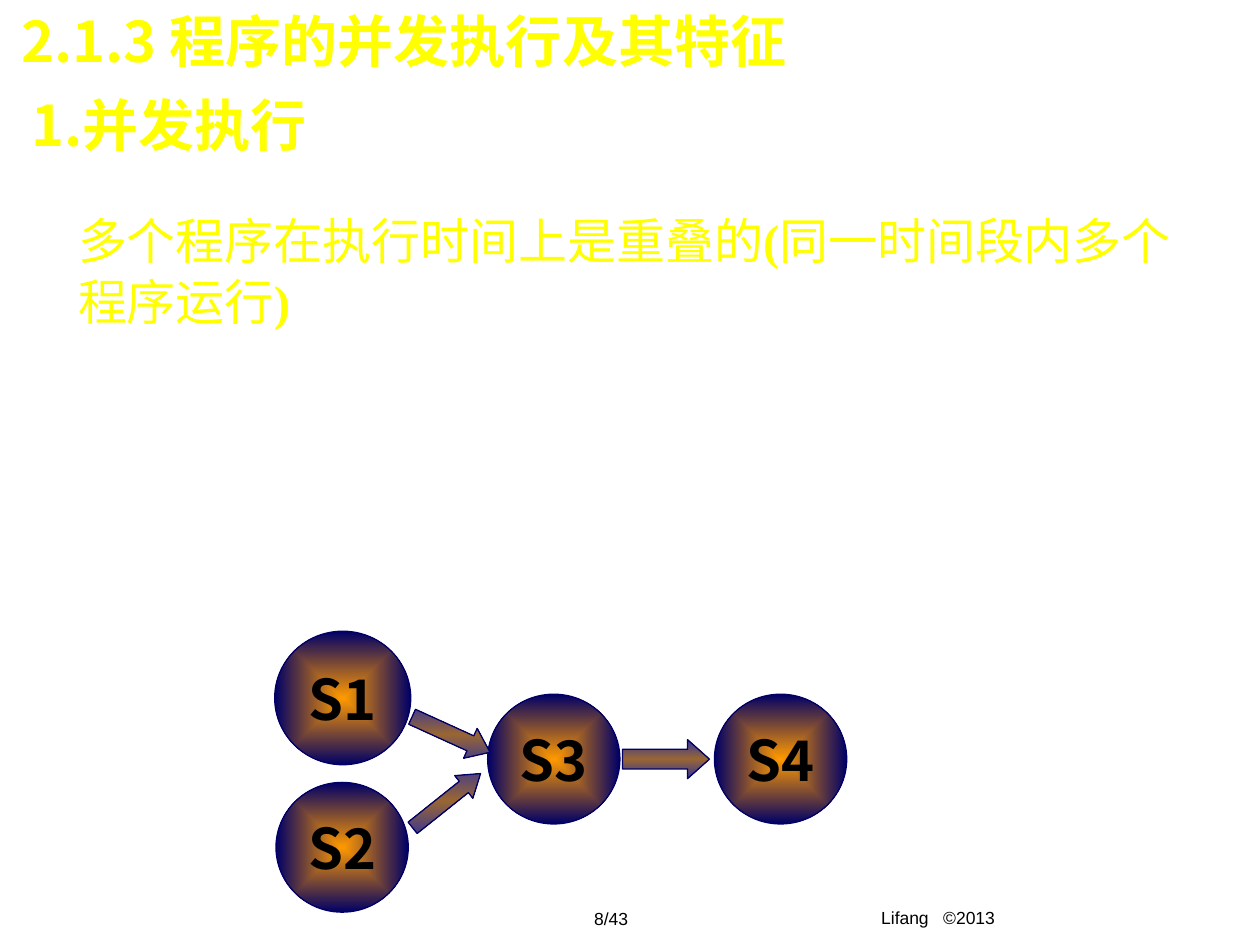
"""Build the slide on concurrent program execution."""
from dataclasses import dataclass
from typing import Any

from pptx import Presentation
from pptx import util as u
from pptx.dml import color as c
from pptx.enum import shapes, text
from pptx.oxml import ns, parse_xml


def rgb(value):
    """Return the colour for a hex string."""
    return c.RGBColor.from_string(value)


@dataclass
class Board:
    """Hold the style and the slide, on a grid of 100 columns by 75 rows."""

    presentation: Any
    slide: Any
    heading_font: str = "Noto Sans CJK SC"
    bracket_font: str = "Times New Roman"
    footer_font: str = "Arial"
    accent: str = "FFFF00"
    ink: str = "000000"
    outline: str = "000066"
    node_stops: tuple = ((0, "FF9900"), (100, "000066"))
    arrow_stops: tuple = ((0, "333399"), (50, "996633"), (100, "333399"))

    def place(self, left, top, width, height):
        """Turn columns and rows into slide lengths."""
        column = self.presentation.slide_width / 100
        row = self.presentation.slide_height / 75
        return [round(n) for n in (left * column, top * row, width * column, height * row)]

    def format_run(self, run, font, size, color, bold=False):
        """Set the Latin and East Asian font, size, colour and weight of a run."""
        run.font.name, run.font.size, run.font.bold = font, u.Pt(size), bold
        run.font.color.rgb = rgb(color)
        latin = run.font._element.find(ns.qn("a:latin"))
        latin.addnext(parse_xml(f'<a:ea {ns.nsdecls("a")} typeface="{font}"/>'))

    def label(self, shape, words, font, size, color, bold=False, centred=False):
        """Fill a shape with one formatted paragraph."""
        shape.text_frame.text = words
        paragraph = shape.text_frame.paragraphs[0]
        paragraph.alignment = text.PP_ALIGN.CENTER if centred else text.PP_ALIGN.LEFT
        self.format_run(paragraph.runs[0], font, size, color, bold)

    def text_box(self, *grid):
        """Add an empty wrapping text box."""
        box = self.slide.shapes.add_textbox(*self.place(*grid))
        box.text_frame.word_wrap = True
        return box

    def heading(self, shape, words, *grid):
        """Place and fill a heading."""
        shape.left, shape.top, shape.width, shape.height = self.place(*grid)
        shape.text_frame.vertical_anchor = text.MSO_ANCHOR.TOP
        shape.text_frame.auto_size = text.MSO_AUTO_SIZE.NONE
        self.label(shape, words, self.heading_font, 32, self.accent, bold=True)

    def title(self, words, *grid):
        """Fill the title placeholder."""
        self.heading(self.slide.shapes.title, words, *grid)

    def subtitle(self, words, *grid):
        """Add a second heading."""
        self.heading(self.text_box(*grid), words, *grid)

    def body(self, lines, *grid):
        """Add indented lines, each a spacing and its pieces; brackets stand out."""
        frame = self.text_box(*grid).text_frame
        frame.margin_left = frame.margin_right = frame.margin_bottom = 0
        frame.margin_top = self.place(0, 4.2, 0, 0)[1]
        for number, (spacing, pieces) in enumerate(lines):
            paragraph = frame.add_paragraph() if number else frame.paragraphs[0]
            paragraph.line_spacing = u.Pt(spacing)
            properties = paragraph._p.get_or_add_pPr()
            properties.set("marL", str(u.Inches(0.25)))
            properties.set("indent", "0")
            for piece in pieces:
                run = paragraph.add_run()
                run.text = piece
                bracket = piece in "()"
                font = self.bracket_font if bracket else self.heading_font
                self.format_run(run, font, 28, self.accent, bracket)

    def footer(self, words, *grid):
        """Add a centred footer text."""
        self.label(self.text_box(*grid), words, self.footer_font, 10, self.ink, centred=True)

    def gradient_shape(self, kind, stops, direction, *grid):
        """Add a preset shape with a gradient fill and the common outline."""
        shape = self.slide.shapes.add_shape(kind, *self.place(*grid))
        shape.shadow.inherit = False
        shape.line.color.rgb = rgb(self.outline)
        shape.line.width = u.Pt(0.75)
        shape.fill.gradient()
        marks = "".join(
            f'<a:gs pos="{share * 1000}"><a:srgbClr val="{rgb(color)}"/></a:gs>'
            for share, color in stops
        )
        properties = shape._element.spPr
        properties.replace(properties.find(ns.qn("a:gradFill")), parse_xml(
            f'<a:gradFill {ns.nsdecls("a")} rotWithShape="1">'
            f"<a:gsLst>{marks}</a:gsLst>{direction}</a:gradFill>"
        ))
        return shape

    def node(self, name, *grid):
        """Add a round program node."""
        direction = ('<a:path path="rect"><a:fillToRect l="50000" t="50000" '
                     'r="50000" b="50000"/></a:path>')
        shape = self.gradient_shape(
            shapes.MSO_SHAPE.OVAL, self.node_stops, direction, *grid)
        shape.text_frame.word_wrap = False
        shape.text_frame.vertical_anchor = text.MSO_ANCHOR.MIDDLE
        self.label(shape, name, self.heading_font, 32, self.ink, bold=True, centred=True)

    def arrow(self, rotation, head, *grid):
        """Add a block arrow whose gradient stays upright when it is turned."""
        angle = round((90 - rotation) % 360 * 60000)
        shape = self.gradient_shape(
            shapes.MSO_SHAPE.RIGHT_ARROW, self.arrow_stops,
            f'<a:lin ang="{angle}" scaled="0"/>', *grid)
        shape.rotation = rotation
        shape.adjustments[1] = head


def main():
    """Build and save the slide."""
    presentation = Presentation()
    presentation.slide_width, presentation.slide_height = u.Inches(10), u.Inches(7.5)
    slide = presentation.slides.add_slide(presentation.slide_layouts[5])
    board = Board(presentation, slide)

    board.footer("Lifang   ©2013", 58.6, 71.5, 31.7, 3.5)
    board.footer("8/43", 43.4, 71.6, 10.2, 2.7)
    board.title("2.1.3 程序的并发执行及其特征", 0.7, 0, 83.7, 6.3)
    board.subtitle("1.并发执行", 1.5, 6.7, 83.7, 6.3)
    board.body([
        (32.9, ["多个程序在执行时间上是重叠的", "(", "同一时间段内多个"]),
        (35, ["程序运行", ")"]),
    ], 3.7, 12.6, 96.3, 13.6)

    board.node("S1", 21.8, 50.1, 10.8, 10.6)
    for name, left, top in (("S2", 21.9, 62.1), ("S3", 38.7, 55.1), ("S4", 56.7, 55.1)):
        board.node(name, left, top, 10.5, 10.3)
    board.arrow(24.5, 0.66, 32.4, 57, 6.8, 2.6)
    board.arrow(0, 0.56, 49.4, 58.7, 6.9, 3.1)
    board.arrow(321.4, 0.74, 32, 62.4, 6.9, 2.3)

    presentation.save("out.pptx")


if __name__ == "__main__":
    main()
